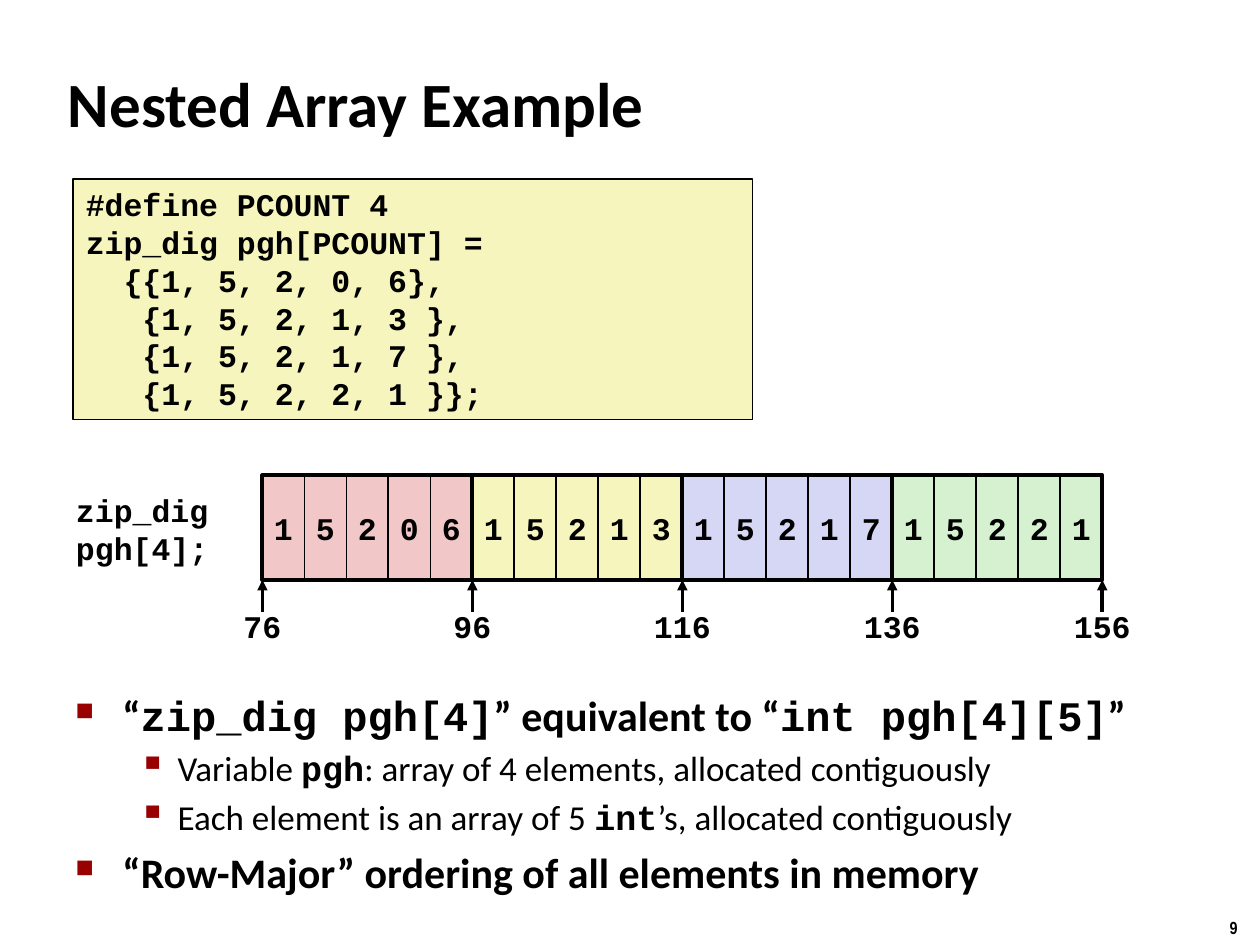
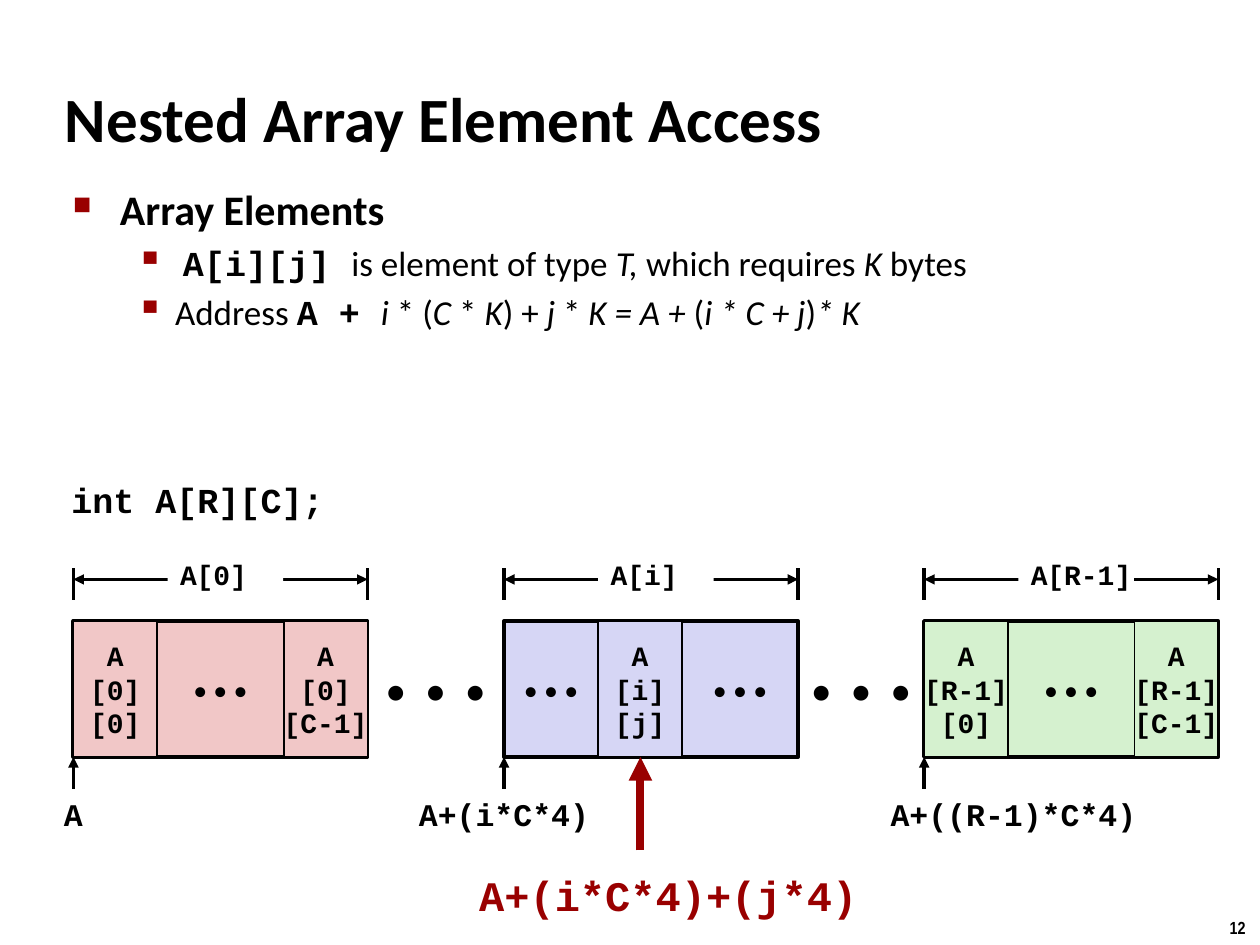
from collections import namedtuple

from lxml import etree
from pptx import Presentation
from pptx.dml.color import RGBColor
from pptx.enum import shapes, text
from pptx.oxml import ns
from pptx.util import Cm, Pt

COLORS = {
    "ink": "000000", "accent": "990000", "rose": "F1C7C7",
    "cream": "F6F5BD", "lilac": "D6D6F5", "mint": "D5F1CF", "paper": "FFFFFF",
}
BODY, MONO, NARROW = "Calibri", "Courier New", "Arial Narrow"
DOTS = "• • •"
LEFT, CENTER, RIGHT = text.PP_ALIGN.LEFT, text.PP_ALIGN.CENTER, text.PP_ALIGN.RIGHT

Box = namedtuple("Box", "left top width height")
Level = namedtuple("Level", "size bold margin hanging mark scale")
LEVELS = [
    Level(24, True, 0.95, 0.95, "■", 60),
    Level(20, False, 2.06, 0.79, "▪", 110),
]


def rgb(name):
    return RGBColor.from_string(COLORS[name])


def emu(box):
    return [Cm(length) for length in box]


def set_font(font, size, name=MONO, bold=True, color="ink"):
    font.size, font.name, font.bold = Pt(size), name, bold
    font.color.rgb = rgb(color)


def write(shape, lines, size, align=LEFT, name=MONO, bold=True, color="ink",
          anchor=text.MSO_ANCHOR.TOP, inset=0.25):
    frame = shape.text_frame
    frame.word_wrap = False
    frame.vertical_anchor = anchor
    frame.margin_left = frame.margin_right = Cm(inset)
    for number, line in enumerate(lines):
        paragraph = frame.add_paragraph() if number else frame.paragraphs[0]
        paragraph.add_run().text = line
        paragraph.alignment = align
        set_font(paragraph.font, size, name, bold, color)


def add_label(slide, box, lines, size, align=CENTER, **style):
    label = slide.shapes.add_textbox(*emu(box))
    write(label, lines, size, align, **style)
    return label


def add_dots(slide, box, size, spacing=0):
    dots = add_label(slide, box, [DOTS], size, name=BODY, bold=False,
                     anchor=text.MSO_ANCHOR.MIDDLE, inset=0)
    if spacing:
        run = dots.text_frame.paragraphs[0].runs[0]
        run.font._element.set("spc", str(spacing))


def add_rect(slide, box, fill=None, border=1):
    rect = slide.shapes.add_shape(shapes.MSO_SHAPE.RECTANGLE, *emu(box))
    rect.shadow.inherit = False
    if fill:
        rect.fill.solid()
        rect.fill.fore_color.rgb = rgb(fill)
    else:
        rect.fill.background()
    if border:
        rect.line.color.rgb = rgb("ink")
        rect.line.width = Pt(border)
    else:
        rect.line.fill.background()
    return rect


def add_cell(slide, box, fill, lines, size):
    write(add_rect(slide, box, fill), lines, size, CENTER,
          anchor=text.MSO_ANCHOR.MIDDLE, inset=0)


def add_line(slide, start, end, ends=(), color="ink", width=2):
    line = slide.shapes.add_connector(
        shapes.MSO_CONNECTOR.STRAIGHT, *emu(start), *emu(end))
    line.line.color.rgb = rgb(color)
    line.line.width = Pt(width)
    for end_tag in ends:
        etree.SubElement(line.line._get_or_add_ln(), ns.qn(end_tag), type="triangle")
    etree.SubElement(line._element.spPr, ns.qn("a:effectLst"))


def add_pointer(slide, x, tip, length, **style):
    add_line(slide, (x, tip + length), (x, tip), ["a:tailEnd"], **style)


def add_titled_slide(deck, title, box, number):
    slide = deck.slides.add_slide(deck.slide_layouts[5])
    heading = slide.shapes.title
    heading.left, heading.top, heading.width, heading.height = emu(box)
    write(heading, [title], 36, name=BODY, anchor=text.MSO_ANCHOR.MIDDLE)
    add_label(slide, Box(24.54, 18.36, 0.86, 0.69), [number], 10, LEFT, name=NARROW)
    return slide


def add_bullets(slide, box, items):
    frame = slide.shapes.add_textbox(*emu(box)).text_frame
    frame.word_wrap = True
    for number, (depth, parts) in enumerate(items):
        level = LEVELS[depth]
        paragraph = frame.add_paragraph() if number else frame.paragraphs[0]
        paragraph.level = depth
        if number:
            paragraph.space_before = Pt(level.size * 0.2)
        props = paragraph._p.get_or_add_pPr()
        props.set("marL", str(Cm(level.margin)))
        props.set("indent", str(-Cm(level.hanging)))
        tint = etree.SubElement(props, ns.qn("a:buClr"))
        etree.SubElement(tint, ns.qn("a:srgbClr"), val=COLORS["accent"])
        etree.SubElement(props, ns.qn("a:buSzPct"), val=str(level.scale * 1000))
        etree.SubElement(props, ns.qn("a:buChar"), char=level.mark)
        set_font(paragraph.font, level.size, BODY, level.bold)
        for wording, style in parts:
            run = paragraph.add_run()
            run.text = wording
            if style == "mono":
                run.font.name, run.font.bold = MONO, True
            elif style == "italic":
                run.font.italic = True


def add_code(slide, box, lines):
    write(add_rect(slide, box, "cream"), lines, 18)


def add_memory_strip(slide, box, rows, first_address, step):
    row_width = box.width / len(rows)
    bottom = box.top + box.height
    for index, (fill, digits) in enumerate(rows):
        left = box.left + index * row_width
        cell_width = row_width / len(digits)
        for column, digit in enumerate(digits):
            cell = Box(left + column * cell_width, box.top, cell_width, box.height)
            add_cell(slide, cell, fill, [digit], 18)
    for index in range(len(rows)):
        outline = Box(box.left + index * row_width, box.top, row_width, box.height)
        add_rect(slide, outline, border=2.25)
    for index in range(len(rows) + 1):
        x = box.left + index * row_width
        add_pointer(slide, x, bottom, 0.64)
        add_label(slide, Box(x - 0.83, bottom + 0.42, 1.66, 1.02),
                  [str(first_address + index * step)], 18)


def add_array_row(slide, box, fill, name, elements, address, address_shift):
    cell_width, label_left, label_width = 1.69, 1.9, 2.33
    cells_top, right, bottom = box.top + 1.47, box.left + box.width, box.top + box.height
    cells_height = bottom - cells_top
    add_rect(slide, Box(box.left, cells_top, box.width, cells_height), fill, 2.25)
    gap_left = 0
    for offset, lines in elements + [(box.width, None)]:
        if offset > gap_left:
            add_dots(slide, Box(box.left + gap_left, cells_top,
                                offset - gap_left, cells_height), 16)
        if lines:
            cell = Box(box.left + offset, cells_top, cell_width, cells_height)
            add_cell(slide, cell, fill, lines, 16)
        gap_left = offset + cell_width
    for x in (box.left, right):
        add_line(slide, (x, box.top + 0.41), (x, box.top + 1.04))
    span = box.top + 0.63
    add_line(slide, (box.left, span), (right, span), ["a:headEnd", "a:tailEnd"])
    label = add_rect(slide, Box(box.left + label_left, box.top, label_width, 1.07), "paper", 0)
    write(label, [name], 16, anchor=text.MSO_ANCHOR.MIDDLE)
    add_pointer(slide, box.left, bottom, 0.64)
    add_label(slide, Box(box.left + address_shift - 2.85, bottom + 0.64, 5.7, 1.02),
              [address], 18)


def build_example(deck):
    slide = add_titled_slide(deck, "Nested Array Example", Box(1.12, 1.27, 17.7, 1.6), "9")
    add_code(slide, Box(1.48, 3.61, 13.69, 4.85), [
        "#define PCOUNT 4",
        "zip_dig pgh[PCOUNT] =",
        "  {{1, 5, 2, 0, 6},",
        "   {1, 5, 2, 1, 3 },",
        "   {1, 5, 2, 1, 7 },",
        "   {1, 5, 2, 2, 1 }};",
    ])
    add_label(slide, Box(1.27, 9.78, 3.18, 1.78), ["zip_dig", "pgh[4];"], 18, RIGHT)
    add_memory_strip(slide, Box(5.29, 9.58, 16.93, 2.11), [
        ("rose", "15206"), ("cream", "15213"), ("lilac", "15217"), ("mint", "15221"),
    ], first_address=76, step=20)
    add_bullets(slide, Box(1.27, 13.77, 22.23, 5.28), [
        (0, [("“", ""), ("zip_dig pgh[4]", "mono"), ("” equivalent to “", ""),
             ("int pgh[4][5]", "mono"), ("”", "")]),
        (1, [("Variable ", ""), ("pgh", "mono"),
             (": array of 4 elements, allocated contiguously", "")]),
        (1, [("Each element is an array of 5 ", ""), ("int", "mono"),
             ("’s, allocated contiguously", "")]),
        (0, [("“Row-Major” ordering of all elements in memory", "")]),
    ])


def build_access(deck):
    slide = add_titled_slide(deck, "Nested Array Element Access",
                             Box(1.06, 1.57, 19.25, 1.6), "12")
    add_bullets(slide, Box(1.22, 3.58, 21.64, 4.04), [
        (0, [("Array Elements", "")]),
        (1, [(" ", ""), ("A[i][j] ", "mono"), ("is element of type ", ""),
             ("T, ", "italic"), ("which requires ", ""), ("K", "italic"), (" bytes", "")]),
        (1, [("Address ", ""), ("A + ", "mono"), ("i ", "italic"), ("* (", ""),
             ("C ", "italic"), ("* ", ""), ("K", "italic"), (") + ", ""),
             ("j", "italic"), (" * ", ""), ("K = A + ", "italic"), ("(", ""),
             ("i * C + j", "italic"), (")", ""), ("* K", "italic")]),
    ])
    add_label(slide, Box(1.19, 9.53, 5.59, 1.09), ["int A[R][C];"], 20, RIGHT)

    top, width, height, last = 11.05, 5.93, 4.21, 4.24
    rows = [
        (1.48, "rose", "A[0]",
         [(0, ["A", "[0]", "[0]"]), (last, ["A", "[0]", "[C-1]"])], "A", 0),
        (10.16, "lilac", "A[i]", [(1.9, ["A", "[i]", "[j]"])], "A+(i*C*4)", 0),
        (18.63, "mint", "A[R-1]",
         [(0, ["A", "[R-1]", "[0]"]), (last, ["A", "[R-1]", "[C-1]"])],
         "A+((R-1)*C*4)", 1.8),
    ]
    for left, *content in rows:
        add_array_row(slide, Box(left, top, width, height), *content)
    for row, following in zip(rows, rows[1:]):
        gap_left = row[0] + width
        add_dots(slide, Box(gap_left, 12.52, following[0] - gap_left, 2.74), 24, 270)

    add_pointer(slide, 12.91, top + height, 1.88, color="accent", width=4.5)
    add_label(slide, Box(9.37, 17.4, 8.2, 1.27), ["A+(i*C*4)+(j*4)"], 24, color="accent")


def main():
    deck = Presentation()
    deck.slide_width, deck.slide_height = Cm(25.4), Cm(19.05)
    build_example(deck)
    build_access(deck)
    deck.save("out.pptx")


if __name__ == "__main__":
    main()
